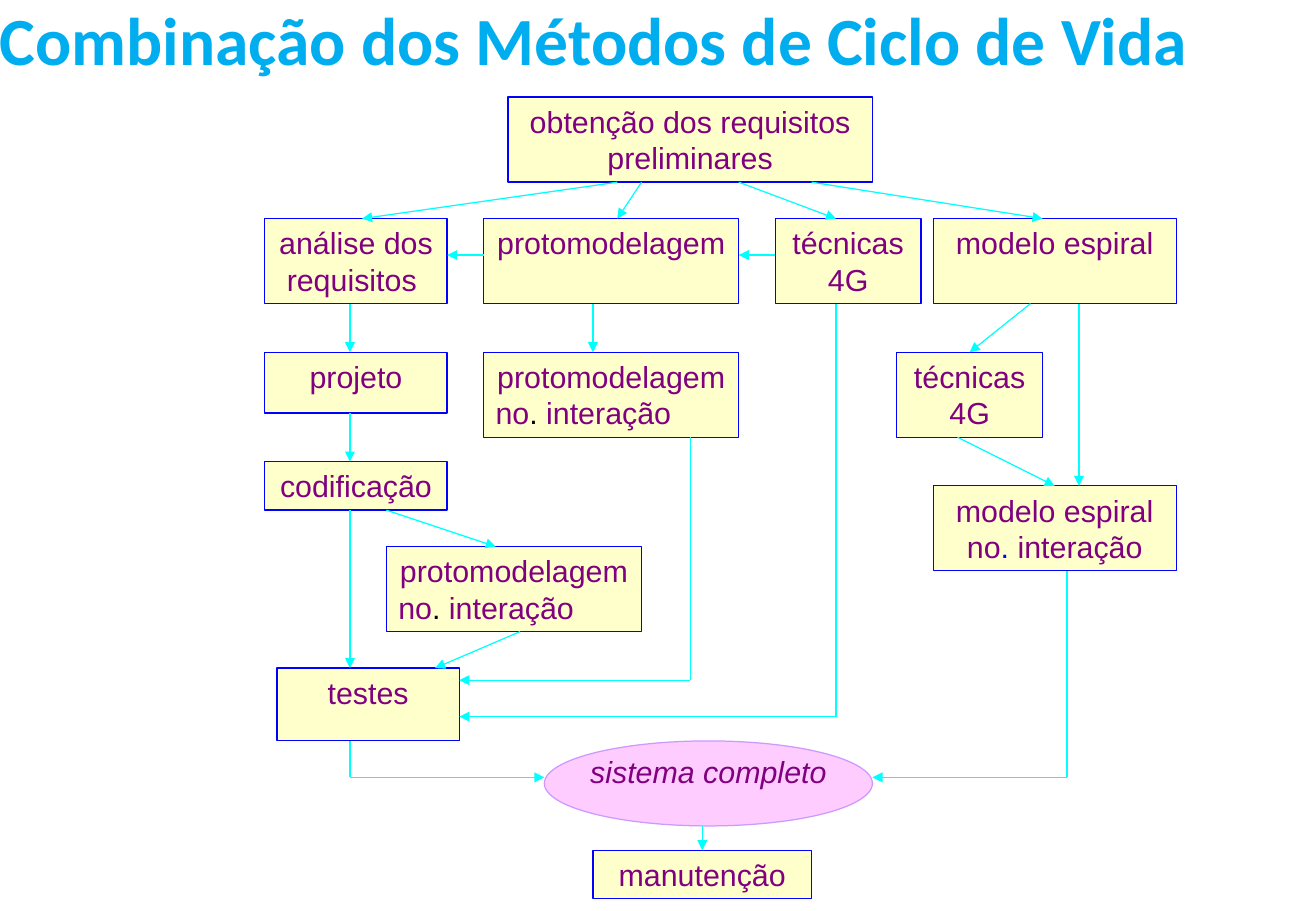
import pptx
import pptx.dml.color
import pptx.enum.shapes
import pptx.enum.text
import pptx.oxml.ns
import pptx.util
from lxml import etree
from pptx.util import Inches

SHAPES = pptx.enum.shapes.MSO_SHAPE
ALIGN = pptx.enum.text.PP_ALIGN
ANCHOR = pptx.enum.text.MSO_ANCHOR
PURPLE, BLUE, CYAN, BLACK = "800080", "0000FF", "00FFFF", "000000"

BOXES = [
    (4.18, 0.8, 3, 0.7, "obtenção dos requisitos preliminares"),
    (7.68, 1.8, 2, 0.7, "modelo espiral"),
    (6.38, 1.8, 1.2, 0.7, "técnicas 4G"),
    (3.98, 1.8, 2.1, 0.7, "protomodelagem"),
    (2.18, 1.8, 1.5, 0.7, "análise dos requisitos "),
    (2.18, 2.9, 1.5, 0.5, "projeto"),
    (2.18, 3.8, 1.5, 0.4, "codificação"),
    (2.28, 5.5, 1.5, 0.6, "testes"),
    (4.88, 7, 1.8, 0.4, "manutenção"),
    (7.38, 2.9, 1.2, 0.7, "técnicas 4G"),
]

INTERACTION_BOXES = [
    (3.98, 2.9, 2.1, "protomodelagem", BLACK, ALIGN.LEFT),
    (3.18, 4.5, 2.1, "protomodelagem", BLACK, ALIGN.LEFT),
    (7.68, 4, 2, "modelo espiral", BLUE, ALIGN.CENTER),
]

ROUTES = [
    [(5.08, 1.5), (2.98, 1.8)],
    [(5.28, 1.5), (5.08, 1.8)],
    [(6.08, 1.5), (6.88, 1.8)],
    [(6.68, 1.5), (8.58, 1.8)],
    [(6.38, 2.1), (6.08, 2.1)],
    [(3.98, 2.1), (3.68, 2.1)],
    [(2.88, 2.5), (2.88, 2.9)],
    [(4.88, 2.5), (4.88, 2.9)],
    [(8.48, 2.5), (7.98, 2.9)],
    [(8.88, 2.5), (8.88, 4)],
    [(2.88, 3.4), (2.88, 3.8)],
    [(7.88, 3.6), (8.68, 4)],
    [(2.88, 4.2), (2.88, 5.5)],
    [(3.18, 4.2), (4.08, 4.5)],
    [(4.28, 5.2), (3.58, 5.5)],
    [(5.68, 3.6), (5.68, 5.6), (3.78, 5.6)],
    [(6.88, 2.5), (6.88, 5.9), (3.78, 5.9)],
    [(2.88, 6.1), (2.88, 6.4), (4.48, 6.4)],
    [(8.78, 4.7), (8.78, 6.4), (7.18, 6.4)],
    [(5.78, 6.8), (5.78, 7)],
]


def rgb(value):
    """Return the colour for a hex string."""
    return pptx.dml.color.RGBColor.from_string(value)


def add_text(paragraph, text, *, size=18, font="Arial", color=PURPLE,
             bold=False, italic=False, align=ALIGN.CENTER):
    """Append a formatted run and align its paragraph."""
    paragraph.alignment = align
    run = paragraph.add_run()
    run.text = text
    run.font.size = pptx.util.Pt(size)
    run.font.name = font
    run.font.bold = bold
    run.font.italic = italic
    run.font.color.rgb = rgb(color)


def add_figure(slide, kind, left, top, width, height, fill, line, weight=0.75):
    """Add a filled, outlined shape with top-anchored text."""
    shape = slide.shapes.add_shape(
        kind, Inches(left), Inches(top), Inches(width), Inches(height))
    shape.shadow.inherit = False
    shape.fill.solid()
    shape.fill.fore_color.rgb = rgb(fill)
    shape.line.color.rgb = rgb(line)
    shape.line.width = pptx.util.Pt(weight)
    shape.text_frame.word_wrap = True
    shape.text_frame.vertical_anchor = ANCHOR.TOP
    return shape


def add_box(slide, left, top, width, height, text, weight=0.75):
    """Add a labelled step and return its text frame."""
    shape = add_figure(slide, SHAPES.RECTANGLE, left, top, width, height,
                       "FFFFCC", BLUE, weight)
    add_text(shape.text_frame.paragraphs[0], text)
    return shape.text_frame


def add_interaction_box(slide, left, top, width, text, dot_color, align):
    """Add a step with a second line for its interaction number."""
    frame = add_box(slide, left, top, width, 0.7, text)
    paragraph = frame.add_paragraph()
    for part, color in (("no", PURPLE), (". ", dot_color), ("interação", PURPLE)):
        add_text(paragraph, part, color=color, align=align)


def add_text_box(slide, left, top, width, height):
    """Add a wrapping text box and return its text frame."""
    frame = slide.shapes.add_textbox(
        Inches(left), Inches(top), Inches(width), Inches(height)).text_frame
    frame.word_wrap = True
    return frame


def add_title(slide, text):
    """Add the slide title."""
    frame = add_text_box(slide, 0, 0, 10.63, 0.75)
    frame.margin_left = frame.margin_right = 0
    frame.margin_top = frame.margin_bottom = 0
    frame.vertical_anchor = ANCHOR.MIDDLE
    frame.paragraphs[0].line_spacing = 0.8
    add_text(frame.paragraphs[0], text, size=40, font="Calibri",
             color="00AEEF", bold=True, align=ALIGN.LEFT)


def add_complete_system(slide):
    """Add the ellipse for the complete system with its label."""
    add_figure(slide, SHAPES.OVAL, 4.48, 6.1, 2.7, 0.7, "FFCCFF", "CC99FF")
    frame = add_text_box(slide, 4.63, 6.15, 2.4, 0.6)
    add_text(frame.paragraphs[0], "sistema completo", italic=True)


def add_route(slide, points):
    """Join the points with straight lines, ending in an arrowhead."""
    for start, end in zip(points, points[1:]):
        connector = slide.shapes.add_connector(
            pptx.enum.shapes.MSO_CONNECTOR.STRAIGHT,
            *(Inches(value) for value in start + end))
        connector.line.color.rgb = rgb(CYAN)
        connector.line.width = pptx.util.Pt(0.75)
        properties = connector._element.spPr
        etree.SubElement(properties, pptx.oxml.ns.qn("a:effectLst"))
    etree.SubElement(connector.line._get_or_add_ln(),
                     pptx.oxml.ns.qn("a:tailEnd"), type="triangle")


def main():
    """Build and save the life cycle slide."""
    presentation = pptx.Presentation()
    presentation.slide_width = Inches(10.83)
    presentation.slide_height = Inches(7.5)
    slide = presentation.slides.add_slide(presentation.slide_layouts[6])
    add_title(slide, "Combinação dos Métodos de Ciclo de Vida")
    first_box, *other_boxes = BOXES
    add_box(slide, *first_box, weight=1)
    for box in other_boxes:
        add_box(slide, *box)
    for box in INTERACTION_BOXES:
        add_interaction_box(slide, *box)
    add_complete_system(slide)
    for points in ROUTES:
        add_route(slide, points)
    presentation.save("out.pptx")


if __name__ == "__main__":
    main()
